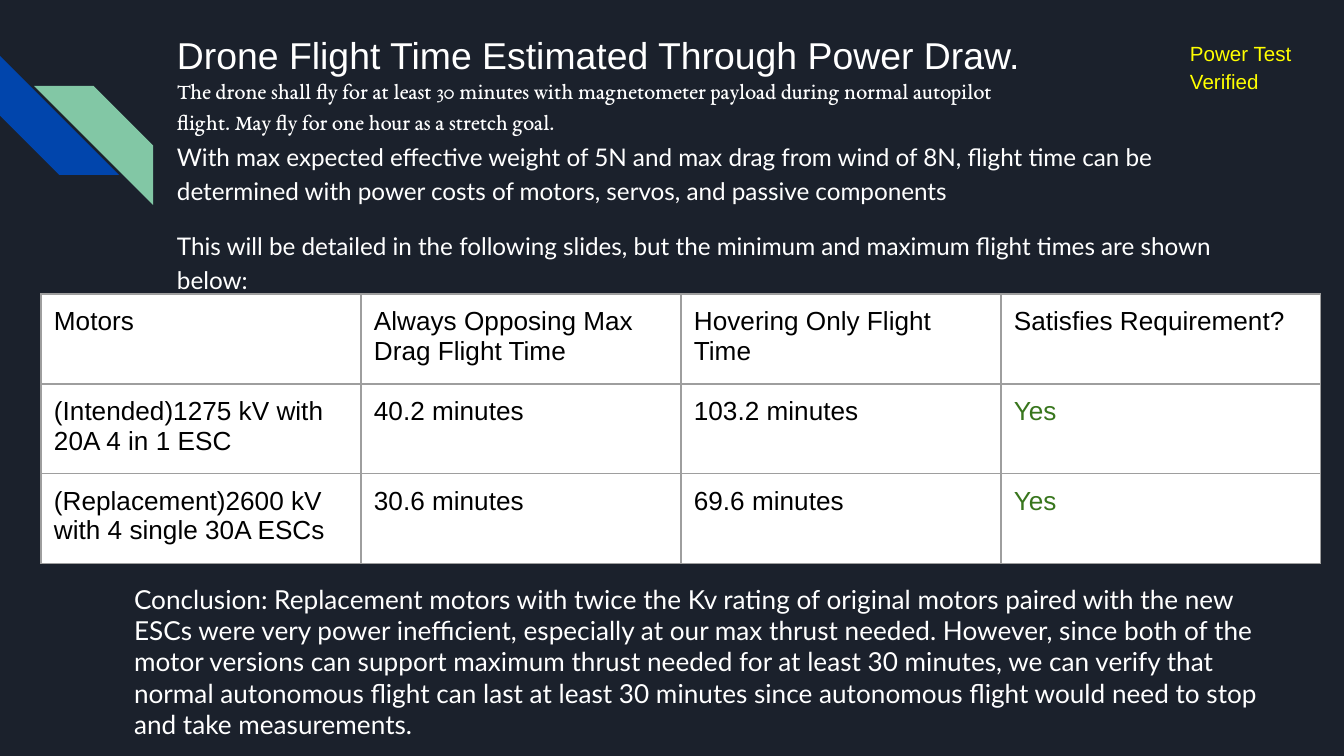
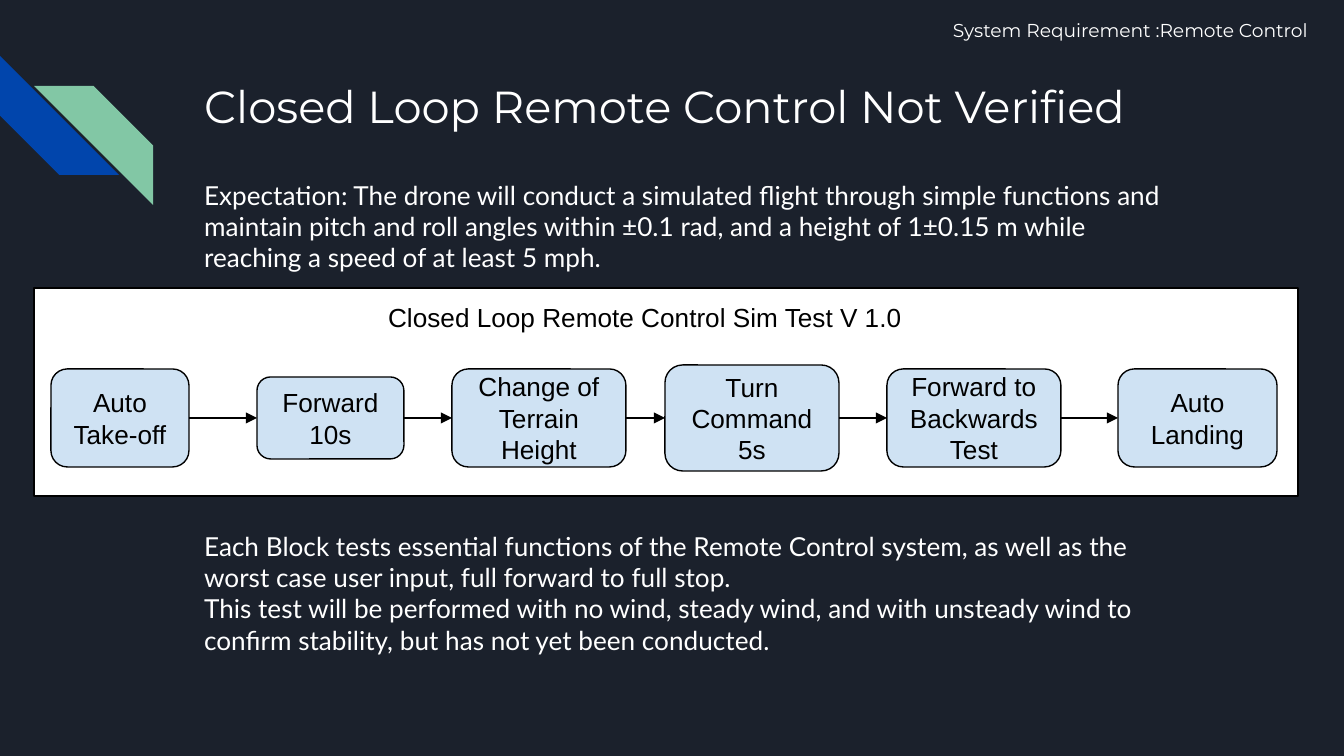
"""Build the two drone verification slides: flight time and remote control."""
from dataclasses import dataclass
from itertools import pairwise

from lxml.etree import SubElement
from pptx import Presentation
from pptx.dml.color import RGBColor
from pptx.enum.shapes import MSO_CONNECTOR as Link, MSO_SHAPE as Preset
from pptx.enum.text import MSO_ANCHOR as Anchor, PP_ALIGN as Align
from pptx.oxml.ns import qn
from pptx.util import Pt

EMU_PER_PX = 9144000 / 1344
WIDTH, HEIGHT = 1344, 756
INSET = 13


@dataclass(frozen=True)
class Style:
    font: str
    size: int
    color: str
    spacing: float = 1.0


@dataclass(frozen=True)
class Theme:
    background: str = "1B212C"
    blue: str = "0145AC"
    green: str = "82C7A5"
    panel: str = "FFFFFF"
    step: str = "CFE2F3"
    ink: str = "000000"
    grid: str = "9E9E9E"
    hairline: float = 0.75
    power_title: Style = Style("Arial", 20, "FFFFFF", 1.15)
    control_title: Style = Style("Montserrat", 24, "FFFFFF", 1.15)
    requirement: Style = Style("EB Garamond", 12, "FFFFFF", 1.15)
    method: Style = Style("Lato", 13, "FFFFFF", 1.15)
    body: Style = Style("Lato", 14, "FFFFFF")
    badge: Style = Style("Arial", 11, "FFFF00", 1.15)
    topic: Style = Style("Montserrat", 10, "FFFFFF")
    label: Style = Style("Arial", 14, "000000")
    passed: Style = Style("Arial", 14, "38761D")


THEME = Theme()

FLIGHT_TIMES = (
    ("Motors", "Always Opposing Max Drag Flight Time",
     "Hovering Only Flight Time", "Satisfies Requirement?"),
    ("(Intended)1275 kV with 20A 4 in 1 ESC", "40.2 minutes", "103.2 minutes", "Yes"),
    ("(Replacement)2600 kV with 4 single 30A ESCs", "30.6 minutes", "69.6 minutes", "Yes"),
)

TEST_STEPS = (
    ("Auto Take-off", 51, 138, 98),
    ("Forward 10s", 257, 147, 82),
    ("Change of Terrain Height", 452, 174, 98),
    ("Turn Command 5s", 665, 174, 106),
    ("Forward to Backwards Test", 887, 174, 98),
    ("Auto Landing", 1118, 159, 98),
)


def px(length):
    """Turn whole pixels into EMU."""
    return round(length * EMU_PER_PX)


def box(left, top, width, height):
    """Return a frame in EMU."""
    return [px(side) for side in (left, top, width, height)]


def rgb(code):
    """Return the colour for a hex code."""
    return RGBColor.from_string(code)


def write(frame, text, style, align=Align.LEFT, gap=0):
    """Fill a text frame and format its paragraphs and runs."""
    frame.text = text
    frame.word_wrap = True
    frame.margin_left = frame.margin_right = px(INSET)
    frame.margin_top = frame.margin_bottom = px(INSET)
    for index, paragraph in enumerate(frame.paragraphs):
        paragraph.alignment = align
        paragraph.line_spacing = style.spacing
        if index and gap:
            paragraph.space_before = Pt(gap)
        for run in paragraph.runs:
            run.font.name = style.font
            run.font.size = Pt(style.size)
            run.font.color.rgb = rgb(style.color)


def add_text(slide, frame, text, style, **layout):
    """Add a wrapped text box."""
    write(slide.shapes.add_textbox(*box(*frame)).text_frame, text, style, **layout)


def add_block(slide, preset, frame, fill, outlined=True):
    """Add a flat filled shape, with a thin outline if wanted."""
    block = slide.shapes.add_shape(preset, *box(*frame))
    block.shadow.inherit = False
    block.fill.solid()
    block.fill.fore_color.rgb = rgb(fill)
    if outlined:
        block.line.color.rgb = rgb(THEME.ink)
        block.line.width = Pt(THEME.hairline)
    else:
        block.line.fill.background()
    return block


def add_step(slide, text, left, width, height, centre):
    """Add one rounded step of the test sequence."""
    frame = (left, centre - height // 2, width, height)
    step = add_block(slide, Preset.ROUNDED_RECTANGLE, frame, THEME.step)
    write(step.text_frame, text, THEME.label, align=Align.CENTER)
    step.text_frame.vertical_anchor = Anchor.MIDDLE
    return step


def add_arrow(slide, source, target):
    """Join the right side of one step to the left side of the next."""
    arrow = slide.shapes.add_connector(Link.STRAIGHT, 0, 0, 0, 0)
    arrow.begin_connect(source, 3)
    arrow.end_connect(target, 1)
    arrow.line.color.rgb = rgb(THEME.ink)
    arrow.line.width = Pt(THEME.hairline)
    properties = arrow._element.spPr
    SubElement(properties.find(qn("a:ln")), qn("a:tailEnd"), type="triangle")
    SubElement(properties, qn("a:effectLst"))


def add_borders(cell):
    """Draw a thin grid line on each side of a cell."""
    properties = cell._tc.get_or_add_tcPr()
    for side in ("lnL", "lnR", "lnT", "lnB"):
        line = SubElement(properties, qn(f"a:{side}"), w=str(Pt(THEME.hairline)))
        fill = SubElement(line, qn("a:solidFill"))
        SubElement(fill, qn("a:srgbClr"), val=THEME.grid)


def add_grid(slide, rows, left, top, column_width, row_height):
    """Add a table of equal cells, with passed results in green."""
    frame = box(left, top, column_width * len(rows[0]), row_height * len(rows))
    table = slide.shapes.add_table(len(rows), len(rows[0]), *frame).table
    table.first_row = table.horz_banding = False
    for column in table.columns:
        column.width = px(column_width)
    for row, texts in zip(table.rows, rows):
        row.height = px(row_height)
        for cell, text in zip(row.cells, texts):
            write(cell.text_frame, text, THEME.passed if text == "Yes" else THEME.label)
            cell.margin_left = cell.margin_right = px(INSET)
            cell.margin_top = cell.margin_bottom = px(INSET)
            add_borders(cell)
            cell.fill.solid()
            cell.fill.fore_color.rgb = rgb(THEME.panel)


def start_slide(deck):
    """Add a slide with the shared background and corner stripes."""
    slide = deck.slides.add_slide(deck.slide_layouts[6])
    slide.background.fill.solid()
    slide.background.fill.fore_color.rgb = rgb(THEME.background)
    for left, top, turn, color in ((0, 56, 270, THEME.blue), (34, 86, 90, THEME.green)):
        stripe = add_block(slide, Preset.DIAGONAL_STRIPE, (left, top, 119, 119), color,
                           outlined=False)
        stripe.rotation = turn
    return slide


def build_flight_time(deck):
    """Build the slide on flight time and power draw."""
    slide = start_slide(deck)
    add_text(slide, (164, 12, 1035, 134),
             "Drone Flight Time Estimated Through Power Draw.", THEME.power_title)
    add_text(slide, (164, 125, 1120, 427),
             "With max expected effective weight of 5N and max drag from wind of 8N, "
             "flight time can be determined with power costs of motors, servos, and "
             "passive components\n"
             "This will be detailed in the following slides, but the minimum and maximum "
             "flight times are shown below:", THEME.method, gap=12)
    add_text(slide, (164, 60, 888, 86),
             "The drone shall fly for at least 30 minutes with magnetometer payload during "
             "normal autopilot flight. May fly for one hour as a stretch goal.",
             THEME.requirement)
    add_grid(slide, FLIGHT_TIMES, 41, 294, 320, 90)
    add_text(slide, (1177, 24, 145, 81), "Power Test Verified", THEME.badge)
    add_text(slide, (121, 570, 1163, 186),
             "Conclusion: Replacement motors with twice the Kv rating of original motors "
             "paired with the new ESCs were very power inefficient, especially at our max "
             "thrust needed. However, since both of the motor versions can support maximum "
             "thrust needed for at least 30 minutes, we can verify that normal autonomous "
             "flight can last at least 30 minutes since autonomous flight would need to "
             "stop and take measurements.", THEME.body)


def build_remote_control(deck):
    """Build the slide on the closed loop remote control test."""
    slide = start_slide(deck)
    add_text(slide, (191, 58, 1056, 51),
             "Closed Loop Remote Control Not Verified", THEME.control_title)
    add_block(slide, Preset.RECTANGLE, (34, 288, 1264, 208), THEME.panel)
    steps = [add_step(slide, *step, centre=418) for step in TEST_STEPS]
    for source, target in pairwise(steps):
        add_arrow(slide, source, target)
    add_text(slide, (184, 288, 922, 59),
             "Closed Loop Remote Control Sim Test V 1.0", THEME.label, align=Align.CENTER)
    add_text(slide, (191, 166, 1005, 122),
             "Expectation: The drone will conduct a simulated flight through simple "
             "functions and maintain pitch and roll angles within ±0.1 rad, and a height "
             "of 1±0.15 m while reaching a speed of at least 5 mph.", THEME.body)
    add_text(slide, (191, 517, 1005, 153),
             "Each Block tests essential functions of the Remote Control system, as well "
             "as the worst case user input, full forward to full stop.\n"
             "This test will be performed with no wind, steady wind, and with unsteady "
             "wind to confirm stability, but has not yet been conducted.", THEME.body)
    add_text(slide, (940, 8, 394, 50), "System Requirement :Remote Control", THEME.topic)


def main():
    """Build and save the deck."""
    deck = Presentation()
    deck.slide_width, deck.slide_height = px(WIDTH), px(HEIGHT)
    build_flight_time(deck)
    build_remote_control(deck)
    deck.save("out.pptx")


if __name__ == "__main__":
    main()
